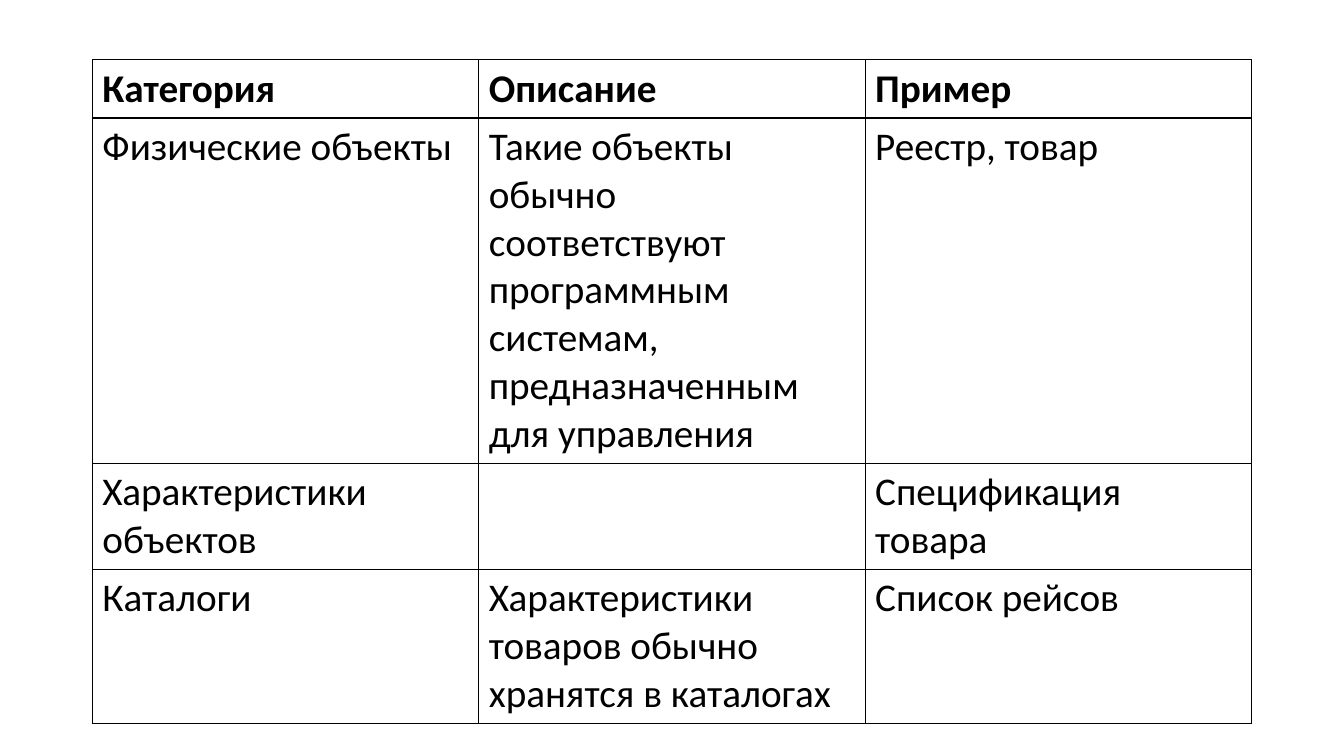
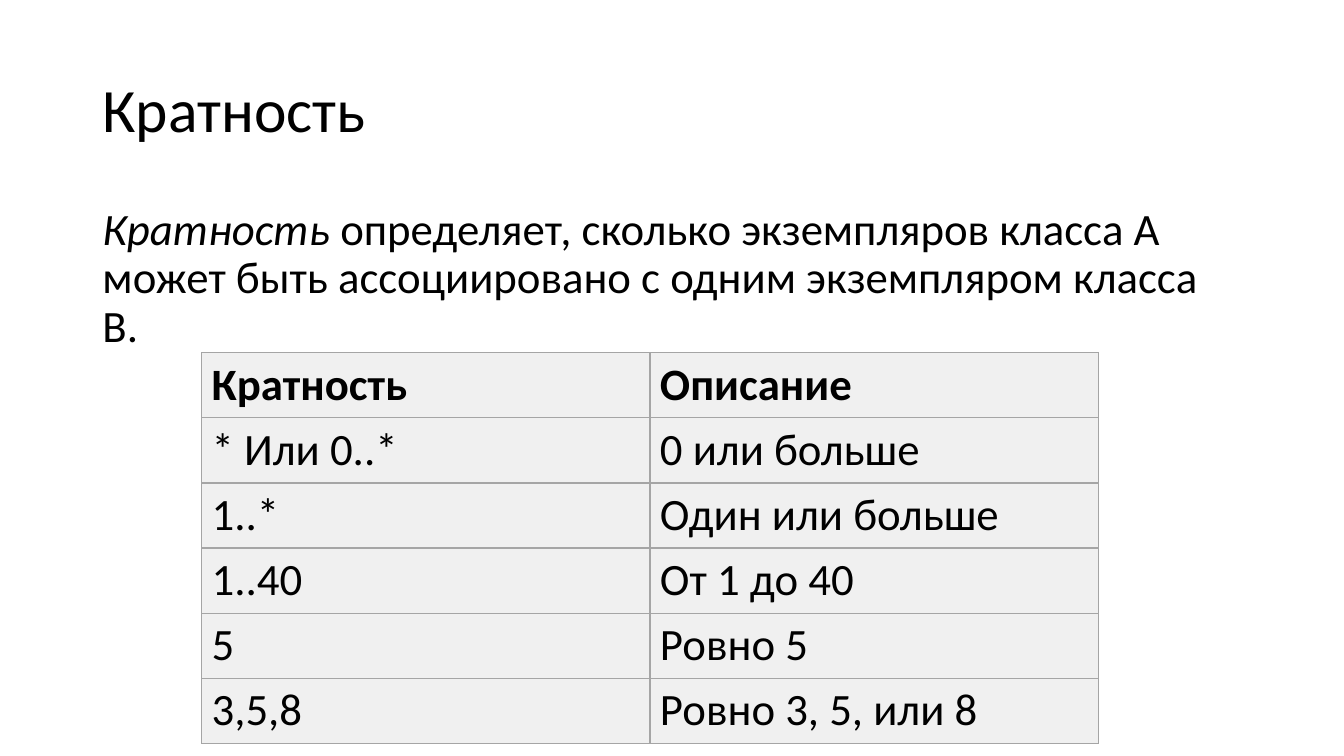
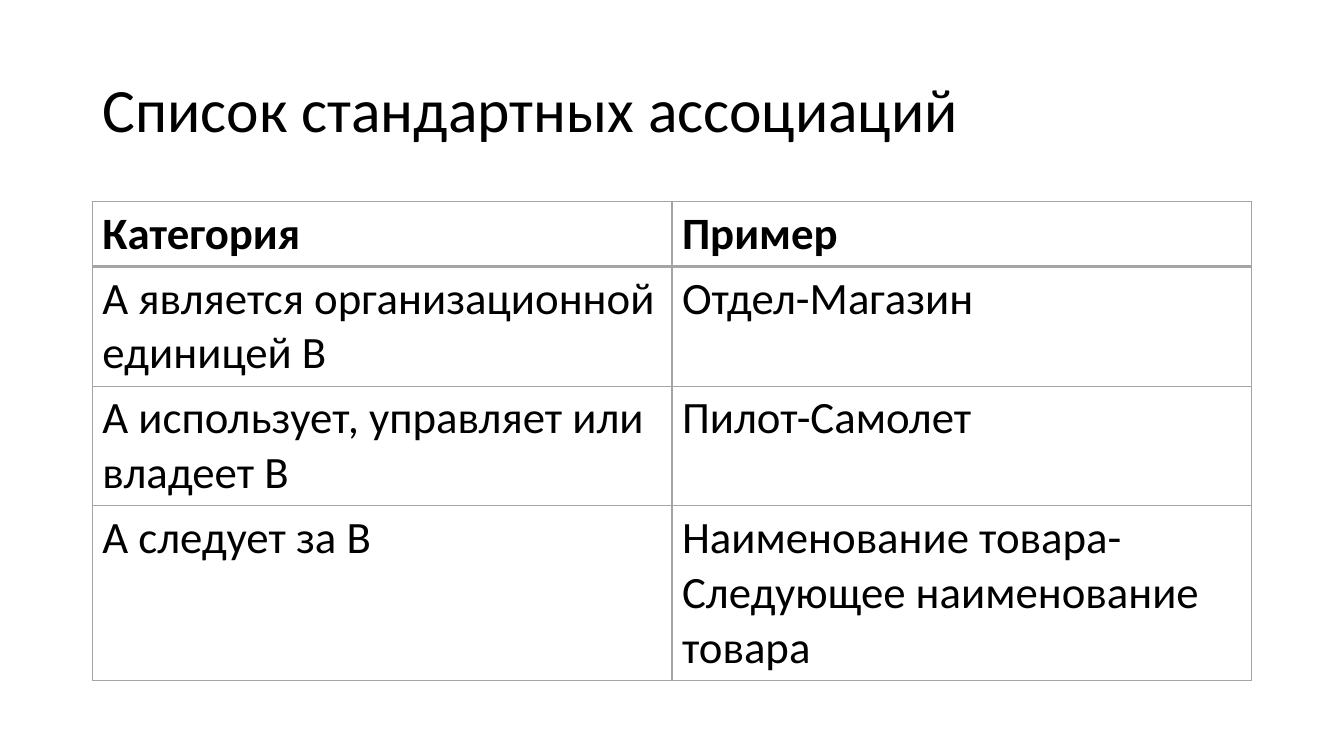
from dataclasses import dataclass

from lxml import etree
from pptx import Presentation
from pptx.dml.color import RGBColor
from pptx.enum.text import MSO_ANCHOR, MSO_AUTO_SIZE, PP_ALIGN
from pptx.oxml.ns import qn
from pptx.util import Pt

LEFT = PP_ALIGN.LEFT
MIDDLE, TOP = MSO_ANCHOR.MIDDLE, MSO_ANCHOR.TOP
NO_AUTOFIT = MSO_AUTO_SIZE.NONE
PX = 9525  # EMU in one px, 96 px to the inch
TITLE_LAYOUT, TITLE_ONLY_LAYOUT, BLANK_LAYOUT = 1, 5, 6
MARGIN, CONTENT_WIDTH = 88, 1104


@dataclass(frozen=True)
class Theme:
    font: str = "Calibri"
    text: str = "000000"
    grey_line: str = "A5A5A5"
    panel: str = "F0F0F0"
    title_size: int = 44
    body_size: int = 32
    small_size: int = 28


THEME = Theme()


def write(paragraph, text, size=THEME.body_size, bold=False, italic=False, line_spacing=1.0):
    paragraph.alignment = LEFT
    paragraph.line_spacing = line_spacing
    paragraph.space_before = Pt(0)
    run = paragraph.add_run()
    run.text = text
    run.font.name = THEME.font
    run.font.size = Pt(size)
    run.font.bold = bold
    run.font.italic = italic
    run.font.color.rgb = RGBColor.from_string(THEME.text)


def set_borders(cell, color, top=1, bottom=1):
    """Draw all four sides of a cell; top and bottom are widths in points."""
    properties = cell._tc.get_or_add_tcPr()
    for side, width in (("L", 1), ("R", 1), ("T", top), ("B", bottom)):
        line = etree.SubElement(properties, qn(f"a:ln{side}"), w=str(Pt(width)))
        fill = etree.SubElement(line, qn("a:solidFill"))
        etree.SubElement(fill, qn("a:srgbClr"), val=color)


presentation = Presentation()
presentation.slide_width = 1280 * PX
presentation.slide_height = 720 * PX

slide_contents = [
    {
        "layout": BLANK_LAYOUT,
        "left": MARGIN, "top": 57, "width": CONTENT_WIDTH,
        "heights": [55, 328, 101, 147],
        "size": THEME.small_size, "line": THEME.text, "header_line": 2,
        "rows": [
            ["Категория", "Описание", "Пример"],
            ["Физические объекты",
             "Такие объекты обычно соответствуют программным системам, "
             "предназначенным для управления",
             "Реестр, товар"],
            ["Характеристики объектов", "", "Спецификация товара"],
            ["Каталоги", "Характеристики товаров обычно хранятся в каталогах",
             "Список рейсов"],
        ],
    },
    {
        "layout": TITLE_LAYOUT,
        "title": "Кратность",
        "body": [
            ("Кратность ", True),
            ("определяет, сколько экземпляров класса А может быть ассоциировано "
             "с одним экземпляром класса В.", False),
        ],
        "left": 192, "top": 336, "width": 854,
        "heights": [62] * 6,
        "size": THEME.body_size, "line": THEME.grey_line, "header_line": 1,
        "fill": THEME.panel,
        "rows": [
            ["Кратность", "Описание"],
            ["* Или 0..*", "0 или больше"],
            ["1..*", "Один или больше"],
            ["1..40", "От 1 до 40"],
            ["5", "Ровно 5"],
            ["3,5,8", "Ровно 3, 5, или 8"],
        ],
    },
    {
        "layout": TITLE_ONLY_LAYOUT,
        "title": "Список стандартных ассоциаций",
        "left": MARGIN, "top": 192, "width": CONTENT_WIDTH,
        "heights": [61, 114, 114, 166],
        "size": THEME.body_size, "line": THEME.grey_line, "header_line": 2,
        "rows": [
            ["Категория", "Пример"],
            ["А является организационной единицей В", "Отдел-Магазин"],
            ["А использует, управляет или владеет В", "Пилот-Самолет"],
            ["А следует за В", "Наименование товара-\nСледующее наименование товара"],
        ],
    },
]

for content in slide_contents:
    slide = presentation.slides.add_slide(presentation.slide_layouts[content["layout"]])

    if "title" in content:
        title = slide.shapes.title
        title.left, title.top = MARGIN * PX, 38 * PX
        title.width, title.height = CONTENT_WIDTH * PX, 139 * PX
        title.text_frame.auto_size = NO_AUTOFIT
        title.text_frame.vertical_anchor = MIDDLE
        write(title.text_frame.paragraphs[0], content["title"],
              size=THEME.title_size, line_spacing=0.9)

    if "body" in content:
        body = slide.placeholders[1]
        body.left, body.top = MARGIN * PX, 192 * PX
        body.width, body.height = CONTENT_WIDTH * PX, 457 * PX
        body.text_frame.auto_size = NO_AUTOFIT
        body.text_frame.vertical_anchor = TOP
        paragraph = body.text_frame.paragraphs[0]
        properties = paragraph._p.get_or_add_pPr()
        properties.set("marL", "0")
        properties.set("indent", "0")
        etree.SubElement(properties, qn("a:buNone"))
        for text, italic in content["body"]:
            write(paragraph, text, italic=italic, line_spacing=0.9)

    rows, heights = content["rows"], content["heights"]
    column_count = len(rows[0])
    table = slide.shapes.add_table(
        len(rows), column_count, content["left"] * PX, content["top"] * PX,
        content["width"] * PX, sum(heights) * PX).table
    table.horz_banding = False
    for column in table.columns:
        column.width = content["width"] * PX // column_count

    for row_index, (texts, height) in enumerate(zip(rows, heights)):
        table.rows[row_index].height = height * PX
        is_header = row_index == 0
        for column_index, text in enumerate(texts):
            cell = table.cell(row_index, column_index)
            set_borders(cell, content["line"],
                        top=content["header_line"] if row_index == 1 else 1,
                        bottom=content["header_line"] if is_header else 1)
            if "fill" in content:
                cell.fill.solid()
                cell.fill.fore_color.rgb = RGBColor.from_string(content["fill"])
            else:
                cell.fill.background()
            for line_index, line in enumerate(text.splitlines()):
                frame = cell.text_frame
                paragraph = frame.add_paragraph() if line_index else frame.paragraphs[0]
                write(paragraph, line, size=content["size"], bold=is_header)

presentation.save("out.pptx")
